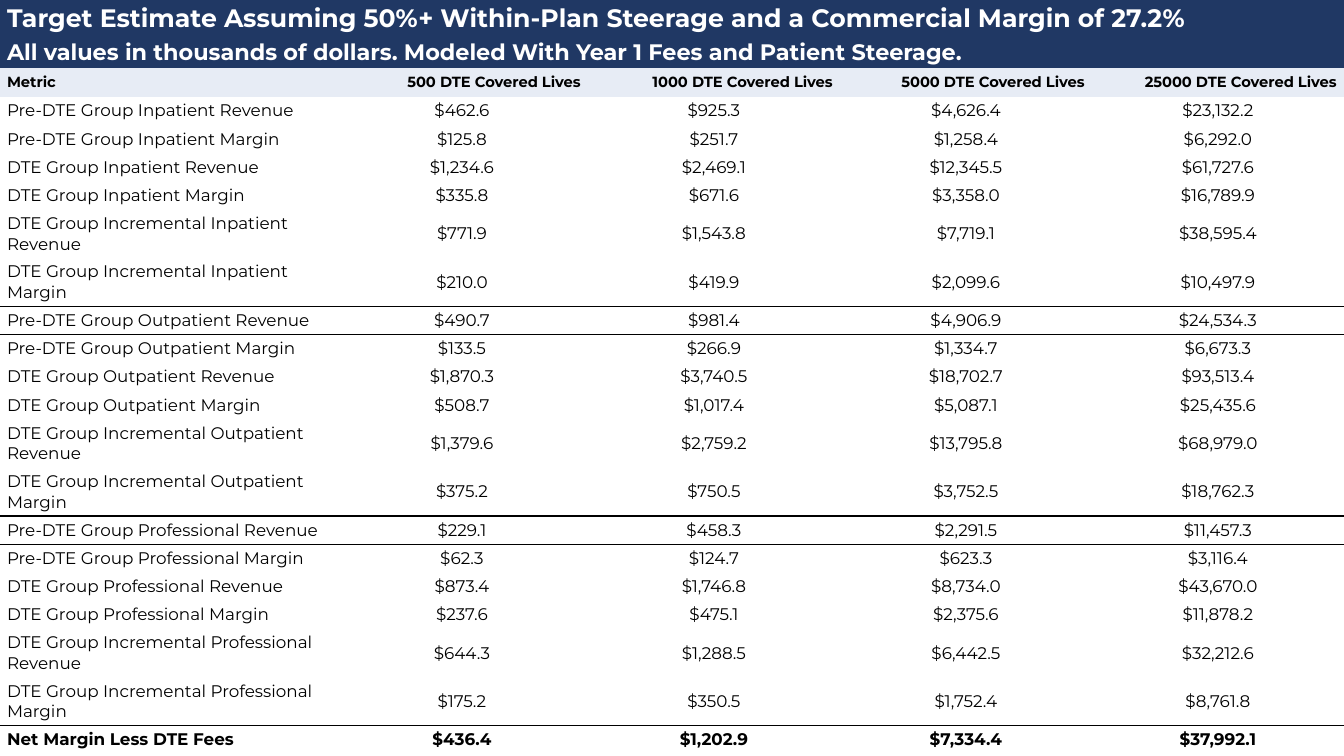
from dataclasses import dataclass

from lxml import etree
from pptx import Presentation
from pptx.dml.color import RGBColor
from pptx.enum.text import MSO_ANCHOR, PP_ALIGN
from pptx.oxml.ns import qn
from pptx.util import Emu, Inches, Pt

LEFT, CENTER, RIGHT = PP_ALIGN.LEFT, PP_ALIGN.CENTER, PP_ALIGN.RIGHT
MIDDLE = MSO_ANCHOR.MIDDLE

BANNERS = [
    "Target Estimate Assuming 50%+ Within-Plan Steerage and a Commercial Margin of 27.2%",
    "All values in thousands of dollars. Modeled With Year 1 Fees and Patient Steerage.",
]
HEADINGS = ["Metric", "500 DTE Covered Lives", "1000 DTE Covered Lives",
            "5000 DTE Covered Lives", "25000 DTE Covered Lives"]
METRICS = [
    "Pre-DTE Group {} Revenue",
    "Pre-DTE Group {} Margin",
    "DTE Group {} Revenue",
    "DTE Group {} Margin",
    "DTE Group Incremental {} Revenue",
    "DTE Group Incremental {} Margin",
]
SERVICES = {
    "Inpatient": [
        ("$462.6", "$925.3", "$4,626.4", "$23,132.2"),
        ("$125.8", "$251.7", "$1,258.4", "$6,292.0"),
        ("$1,234.6", "$2,469.1", "$12,345.5", "$61,727.6"),
        ("$335.8", "$671.6", "$3,358.0", "$16,789.9"),
        ("$771.9", "$1,543.8", "$7,719.1", "$38,595.4"),
        ("$210.0", "$419.9", "$2,099.6", "$10,497.9"),
    ],
    "Outpatient": [
        ("$490.7", "$981.4", "$4,906.9", "$24,534.3"),
        ("$133.5", "$266.9", "$1,334.7", "$6,673.3"),
        ("$1,870.3", "$3,740.5", "$18,702.7", "$93,513.4"),
        ("$508.7", "$1,017.4", "$5,087.1", "$25,435.6"),
        ("$1,379.6", "$2,759.2", "$13,795.8", "$68,979.0"),
        ("$375.2", "$750.5", "$3,752.5", "$18,762.3"),
    ],
    "Professional": [
        ("$229.1", "$458.3", "$2,291.5", "$11,457.3"),
        ("$62.3", "$124.7", "$623.3", "$3,116.4"),
        ("$873.4", "$1,746.8", "$8,734.0", "$43,670.0"),
        ("$237.6", "$475.1", "$2,375.6", "$11,878.2"),
        ("$644.3", "$1,288.5", "$6,442.5", "$32,212.6"),
        ("$175.2", "$350.5", "$1,752.4", "$8,761.8"),
    ],
}
TOTAL = ["Net Margin Less DTE Fees", "$436.4", "$1,202.9", "$7,334.4", "$37,992.1"]

SLIDE_WIDTH, SLIDE_HEIGHT = Inches(13.33), Inches(7.5)
COLUMN_UNITS = [4, 3, 3, 3, 3]
BANNER_HEIGHTS = [0.36, 0.32]
LINE_ROW, WRAPPED_ROW = 0.28, 0.48
INDENT = Inches(0.07)
NO_GRID_STYLE = "{2D5ABB26-0587-4C30-8999-92F81FD0307C}"


@dataclass(frozen=True)
class Theme:
    font: str = "Montserrat"
    navy: str = "203864"
    pale: str = "E7ECF5"
    white: str = "FFFFFF"
    black: str = "000000"
    banner_sizes: tuple = (18, 16)
    heading_size: float = 10.5
    body_size: float = 12
    rule: float = 1


THEME = Theme()


def write_cell(cell, text, size, color, bold, align, fill=None):
    cell.margin_left = cell.margin_right = cell.margin_top = cell.margin_bottom = 0
    cell.vertical_anchor = MIDDLE
    if fill:
        cell.fill.solid()
        cell.fill.fore_color.rgb = RGBColor.from_string(fill)
    else:
        cell.fill.background()
    para = cell.text_frame.paragraphs[0]
    para.alignment = align
    properties = para._p.get_or_add_pPr()
    for side in ("marL", "marR"):
        properties.set(side, str(INDENT))
    properties.set("indent", "0")
    span = para.add_run()
    span.text = text
    span.font.name = THEME.font
    span.font.size = Pt(size)
    span.font.bold = bold
    span.font.color.rgb = RGBColor.from_string(color)


def rule_cell(cell, side):
    line = etree.Element(qn(f"a:ln{side}"), w=str(Pt(THEME.rule)))
    fill = etree.SubElement(line, qn("a:solidFill"))
    etree.SubElement(fill, qn("a:srgbClr"), val=THEME.black)
    cell._tc.get_or_add_tcPr().insert(0, line)


def write_row(table, row, texts, size, bold, value_align, fill=None):
    for column, text in enumerate(texts):
        align = value_align if column else LEFT
        write_cell(table.cell(row, column), text, size, THEME.black, bold, align, fill)


def main():
    body = [[metric.format(service), *values]
            for service, rows in SERVICES.items()
            for metric, values in zip(METRICS, rows)]
    body_heights = [WRAPPED_ROW if "Incremental" in row[0] else LINE_ROW for row in body]
    heights = BANNER_HEIGHTS + [LINE_ROW] + body_heights + [LINE_ROW]
    heading_row = len(BANNERS)
    first_body_row = heading_row + 1
    total_row = first_body_row + len(body)

    deck = Presentation()
    deck.slide_width, deck.slide_height = SLIDE_WIDTH, SLIDE_HEIGHT
    page = deck.slides.add_slide(deck.slide_layouts[6])
    frame = page.shapes.add_table(len(heights), len(HEADINGS), 0, 0, SLIDE_WIDTH, SLIDE_HEIGHT)
    table = frame.table
    table.first_row = table.horz_banding = False
    table._tbl.tblPr.find(qn("a:tableStyleId")).text = NO_GRID_STYLE
    for column, units in zip(table.columns, COLUMN_UNITS):
        column.width = Emu(SLIDE_WIDTH * units // sum(COLUMN_UNITS))
    for row, height in zip(table.rows, heights):
        row.height = Inches(height)

    for row, (text, size) in enumerate(zip(BANNERS, THEME.banner_sizes)):
        cell = table.cell(row, 0)
        cell.merge(table.cell(row, len(HEADINGS) - 1))
        write_cell(cell, text, size, THEME.white, True, LEFT, THEME.navy)

    write_row(table, heading_row, HEADINGS, THEME.heading_size, True, RIGHT, THEME.pale)
    for row, texts in enumerate(body, first_body_row):
        write_row(table, row, texts, THEME.body_size, False, CENTER)
    write_row(table, total_row, TOTAL, THEME.body_size, True, CENTER)

    for group in range(1, len(SERVICES) + 1):
        below = first_body_row + group * len(METRICS)
        for column in range(len(HEADINGS)):
            rule_cell(table.cell(below - 1, column), "B")
            rule_cell(table.cell(below, column), "T")

    deck.save("out.pptx")


if __name__ == "__main__":
    main()
